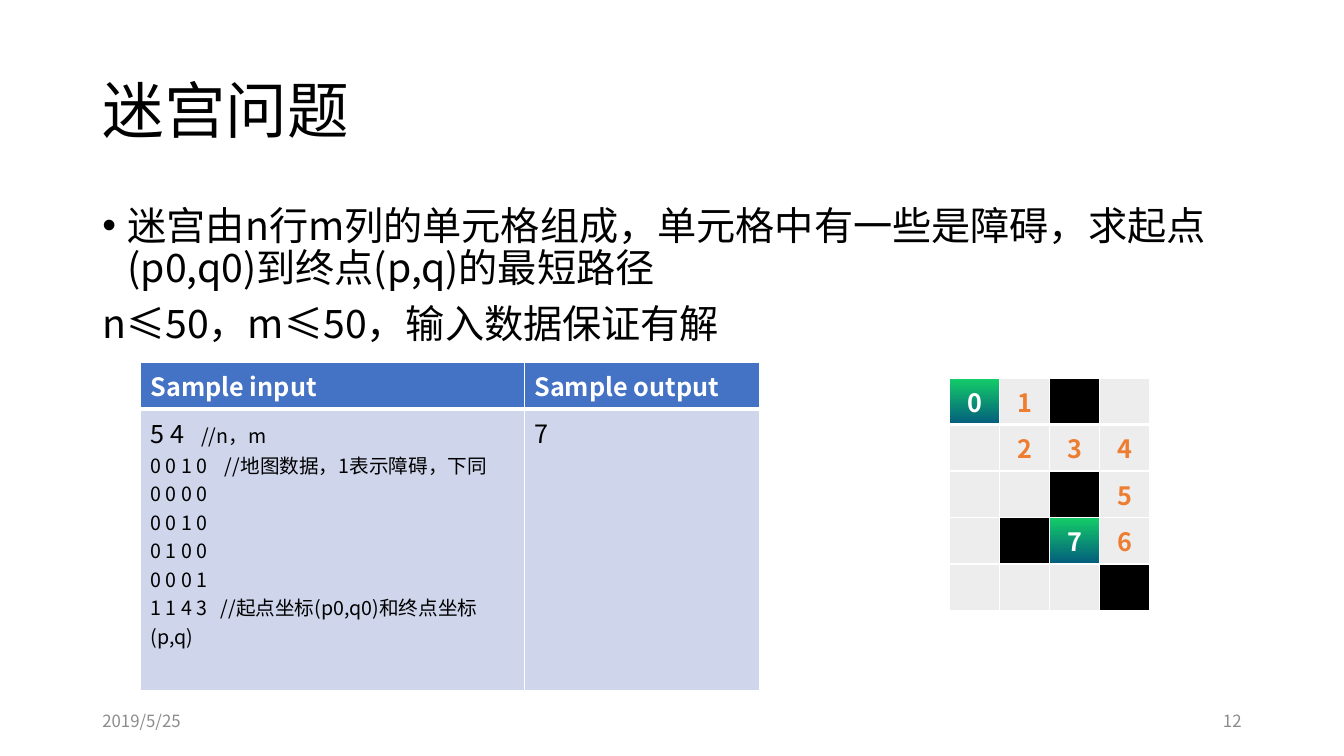
from lxml import etree
from pptx import Presentation
from pptx.dml.color import RGBColor
from pptx.enum.text import MSO_ANCHOR, PP_ALIGN
from pptx.oxml.ns import qn
from pptx.util import Cm, Pt

LEFT, MID, RIGHT = PP_ALIGN.LEFT, PP_ALIGN.CENTER, PP_ALIGN.RIGHT
TOP, CENTER = MSO_ANCHOR.TOP, MSO_ANCHOR.MIDDLE
BLACK = RGBColor(0x00, 0x00, 0x00)
WHITE = RGBColor(0xFF, 0xFF, 0xFF)
GRAY = RGBColor(0x8C, 0x8C, 0x8C)
PALE = RGBColor(0xED, 0xED, 0xED)
BLUE = RGBColor(0x44, 0x72, 0xC4)
LIGHT = RGBColor(0xCF, 0xD5, 0xEA)
ORANGE = RGBColor(0xED, 0x7D, 0x31)
GREEN = RGBColor(0x14, 0xCD, 0x68)
TEAL = RGBColor(0x03, 0x5C, 0x7D)
FACE = "Noto Sans CJK SC"

MAZE = ["0010", "0000", "0010", "0100", "0001"]
STEPS = [(0, 0), (0, 1), (1, 1), (1, 2), (1, 3), (2, 3), (3, 3), (3, 2)]
INPUT = [
    [("5 4   ", 18), ("//n，m", 14)],
    [("0 0 1 0    //地图数据，1表示障碍，下同", 14)],
    [("0 0 0 0", 14)],
    [("0 0 1 0", 14)],
    [("0 1 0 0", 14)],
    [("0 0 0 1", 14)],
    [("1 1 4 3   //起点坐标(p0,q0)和终点坐标(p,q)", 14)],
]


def add_run(para, text, size, color, bold=False):
    run = para.add_run()
    run.text = text
    font = run.font
    font.size = Pt(size)
    font.bold = bold
    font.color.rgb = color
    font.name = FACE
    east = etree.SubElement(run._r.get_or_add_rPr(), qn("a:ea"))
    east.set("typeface", FACE)


def add_lines(frame, lines, color, bold=False, align=LEFT):
    for i, line in enumerate(lines):
        para = frame.add_paragraph() if i else frame.paragraphs[0]
        para.alignment = align
        for text, size in line:
            add_run(para, text, size, color, bold)


def add_box(slide, box, lines, color, align=LEFT, anchor=TOP):
    frame = slide.shapes.add_textbox(*map(Cm, box)).text_frame
    frame.word_wrap = True
    frame.vertical_anchor = anchor
    add_lines(frame, lines, color, align=align)
    return frame


def add_edges(cell, row):
    props = cell._tc.get_or_add_tcPr()
    widths = {"L": 1, "R": 1, "T": 3 if row == 1 else 1, "B": 1 if row else 3}
    for i, (side, width) in enumerate(widths.items()):
        edge = etree.Element(qn("a:ln" + side), w=str(Pt(width)))
        fill = etree.SubElement(edge, qn("a:solidFill"))
        etree.SubElement(fill, qn("a:srgbClr"), val=str(WHITE))
        props.insert(i, edge)


def fill_cell(cell, row, color):
    cell.fill.solid()
    cell.fill.fore_color.rgb = color
    add_edges(cell, row)


def blend_cell(cell, row):
    fill = cell.fill
    fill.gradient()
    fill.gradient_angle = 270
    for stop, color, place in zip(fill.gradient_stops, (GREEN, TEAL), (0, 1)):
        stop.color.rgb = color
        stop.position = place
    add_edges(cell, row)


def add_grid(slide, box, widths, heights):
    shape = slide.shapes.add_table(len(heights), len(widths), *map(Cm, box))
    table = shape.table
    for col, width in zip(table.columns, widths):
        col.width = Cm(width)
    for row, height in zip(table.rows, heights):
        row.height = Cm(height)
    return table


def add_title(slide, box):
    title = slide.shapes.title
    title.left, title.top, title.width, title.height = map(Cm, box)
    frame = title.text_frame
    frame.vertical_anchor = CENTER
    add_lines(frame, [[("迷宫问题", 44)]], BLACK)
    frame.paragraphs[0].line_spacing = 0.9


def add_body(slide, box):
    lines = [
        [("迷宫由n行m列的单元格组成，单元格中有一些是障碍，"
          "求起点(p0,q0)到终点(p,q)的最短路径", 28)],
        [("n≤50，m≤50，输入数据保证有解", 28)],
    ]
    frame = add_box(slide, box, lines, BLACK)
    for para in frame.paragraphs:
        para.line_spacing = 0.9
        para.space_before = Pt(10)
    props = frame.paragraphs[0]._p.get_or_add_pPr()
    props.set("marL", str(Cm(0.64)))
    props.set("indent", str(-Cm(0.64)))
    etree.SubElement(props, qn("a:buFont"), typeface="Arial")
    etree.SubElement(props, qn("a:buChar"), char="•")


def add_sample(slide, box):
    left, top, width, height = box
    split, head = width * 0.62, 1.17
    table = add_grid(slide, box, [split, width - split], [head, height - head])
    heads = ["Sample input", "Sample output"]
    bodies = [INPUT, [[("7", 18)]]]
    for col, (name, lines) in enumerate(zip(heads, bodies)):
        top_cell, low_cell = table.cell(0, col), table.cell(1, col)
        fill_cell(top_cell, 0, BLUE)
        add_lines(top_cell.text_frame, [[(name, 18)]], WHITE, bold=True)
        fill_cell(low_cell, 1, LIGHT)
        add_lines(low_cell.text_frame, lines, BLACK)


def add_maze(slide, box):
    rows, cols = len(MAZE), len(MAZE[0])
    table = add_grid(slide, box, [box[2] / cols] * cols, [box[3] / rows] * rows)
    ends = STEPS[0], STEPS[-1]
    for row, line in enumerate(MAZE):
        for col, mark in enumerate(line):
            cell, spot = table.cell(row, col), (row, col)
            if spot in ends:
                blend_cell(cell, row)
            else:
                fill_cell(cell, row, BLACK if mark == "1" else PALE)
            if spot in STEPS:
                text = str(STEPS.index(spot))
                color = WHITE if spot in ends else ORANGE
                add_lines(cell.text_frame, [[(text, 18)]], color, True, MID)


def add_footer(slide, box):
    left, top, width, height = box
    part = 7.62
    add_box(slide, (left, top, part, height), [[("2019/5/25", 12)]],
            GRAY, anchor=CENTER)
    add_box(slide, (left + width - part, top, part, height), [[("12", 12)]],
            GRAY, RIGHT, CENTER)


def main():
    deck = Presentation()
    deck.slide_width, deck.slide_height = Cm(33.87), Cm(19.05)
    slide = deck.slides.add_slide(deck.slide_layouts[5])
    add_title(slide, (2.33, 1.01, 29.21, 3.68))
    add_body(slide, (2.33, 5.07, 29.21, 12.09))
    add_footer(slide, (2.33, 17.66, 29.21, 1.01))
    add_maze(slide, (23.93, 9.53, 5.05, 5.85))
    add_sample(slide, (3.54, 9.13, 15.6, 8.27))
    deck.save("out.pptx")


if __name__ == "__main__":
    main()
